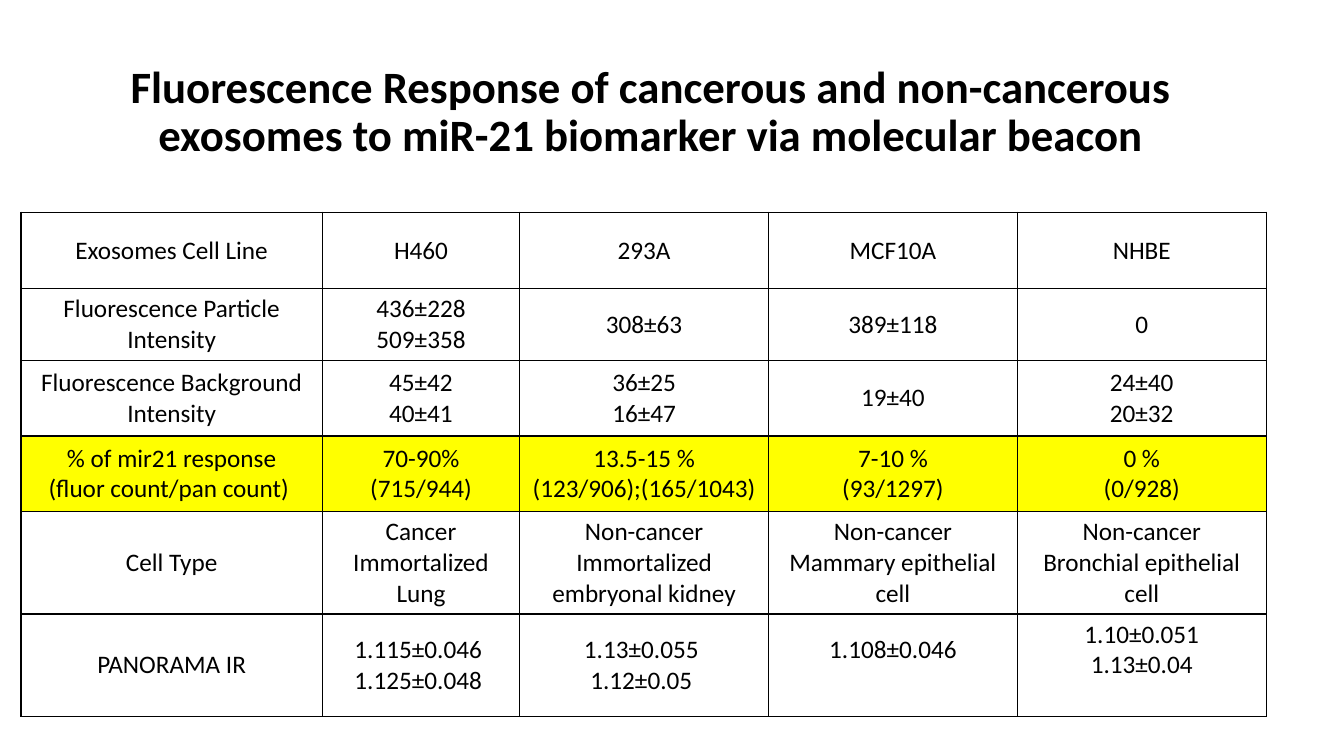
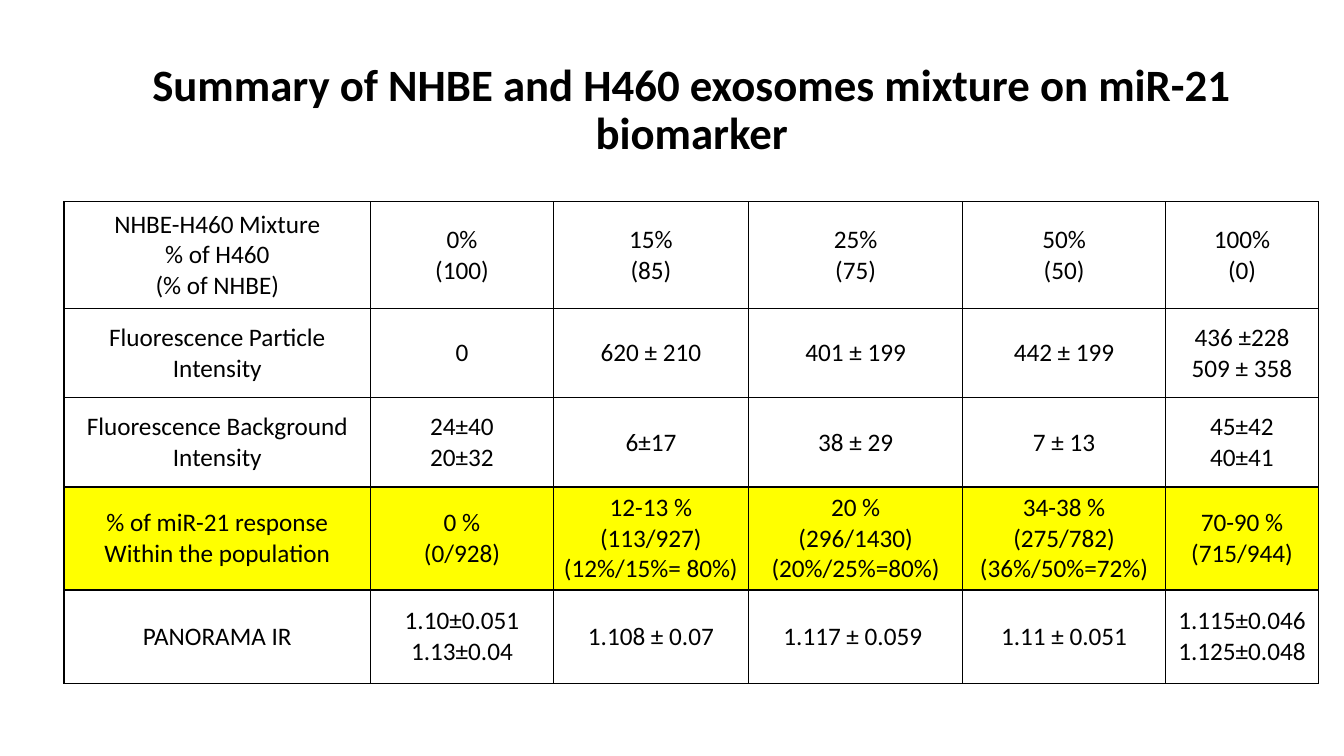
"""Build two slides of tables on exosome response to the miR-21 biomarker."""
from dataclasses import dataclass

from lxml.etree import SubElement
from pptx import Presentation
from pptx.dml.color import RGBColor
from pptx.enum.text import MSO_ANCHOR, PP_ALIGN
from pptx.oxml.ns import qn
from pptx.util import Emu, Pt


@dataclass(frozen=True)
class Theme:
    font: str = "Calibri"
    text: str = "000000"
    border: str = "000000"
    highlight: str = "FFFF00"
    title_size: int = 32
    cell_size: int = 18
    border_width: int = 1
    title_spacing: float = 0.9


def px(length):
    return Emu(length * 9525)


class Deck:
    def __init__(self, theme):
        self.theme = theme
        self.presentation = Presentation()
        self.presentation.slide_width = px(1280)
        self.presentation.slide_height = px(720)
        self.slide = None

    def add_slide(self):
        layout = self.presentation.slide_layouts.get_by_name("Title Only")
        self.slide = self.presentation.slides.add_slide(layout)

    def format_text(self, text_frame, size, bold=False):
        for paragraph in text_frame.paragraphs:
            paragraph.alignment = PP_ALIGN.CENTER
            for run in paragraph.runs:
                run.font.name = self.theme.font
                run.font.size = Pt(size)
                run.font.bold = bold
                run.font.color.rgb = RGBColor.from_string(self.theme.text)

    def title(self, text, left, top, width, height):
        shape = self.slide.shapes.title
        shape.left, shape.top = px(left), px(top)
        shape.width, shape.height = px(width), px(height)
        text_frame = shape.text_frame
        text_frame.text = text
        text_frame.word_wrap = True
        text_frame.vertical_anchor = MSO_ANCHOR.MIDDLE
        text_frame.paragraphs[0].line_spacing = self.theme.title_spacing
        self.format_text(text_frame, self.theme.title_size, bold=True)

    def borders(self, cell):
        properties = cell._tc.get_or_add_tcPr()
        for side in ("lnL", "lnR", "lnT", "lnB"):
            line = SubElement(properties, qn(f"a:{side}"), w=str(Pt(self.theme.border_width)))
            fill = SubElement(line, qn("a:solidFill"))
            SubElement(fill, qn("a:srgbClr"), val=self.theme.border)

    def cell(self, cell, text, highlighted):
        cell.text_frame.text = text
        cell.vertical_anchor = MSO_ANCHOR.MIDDLE
        self.format_text(cell.text_frame, self.theme.cell_size)
        self.borders(cell)
        if highlighted:
            cell.fill.solid()
            cell.fill.fore_color.rgb = RGBColor.from_string(self.theme.highlight)
        else:
            cell.fill.background()

    def table(self, left, top, widths, heights, rows, highlighted_row):
        frame = self.slide.shapes.add_table(
            len(rows), len(widths), px(left), px(top), px(sum(widths)), px(sum(heights)))
        table = frame.table
        table.first_row = table.horz_banding = False
        for column, width in zip(table.columns, widths):
            column.width = px(width)
        for row, height in zip(table.rows, heights):
            row.height = px(height)
        for row_index, texts in enumerate(rows):
            for column_index, text in enumerate(texts):
                self.cell(table.cell(row_index, column_index), text,
                          row_index == highlighted_row)
        return table

    def save(self):
        self.presentation.save("out.pptx")


PARTICLE = "Fluorescence Particle\nIntensity"
BACKGROUND = "Fluorescence Background\nIntensity"
PANORAMA = "PANORAMA IR"
H460_BACKGROUND = "45±42\n40±41"
H460_PANORAMA = "1.115±0.046 \n1.125±0.048 "
NHBE_BACKGROUND = "24±40\n20±32"
NHBE_PANORAMA = "1.10±0.051\n1.13±0.04"
NHBE_RESPONSE = "0 %\n(0/928)"

CELL_LINE_ROWS = [
    ["Exosomes Cell Line", "H460", "293A", "MCF10A", "NHBE"],
    [PARTICLE, "436±228\n509±358", "308±63", "389±118", "0"],
    [BACKGROUND, H460_BACKGROUND, "36±25\n16±47", "19±40", NHBE_BACKGROUND],
    ["% of mir21 response\n(fluor count/pan count) ", "70-90%\n(715/944)",
     "13.5-15 %\n(123/906);(165/1043)", "7-10 %\n(93/1297)", NHBE_RESPONSE],
    ["Cell Type", "Cancer\nImmortalized\nLung",
     "Non-cancer\nImmortalized embryonal kidney",
     "Non-cancer\nMammary epithelial cell",
     "Non-cancer\nBronchial epithelial cell"],
    [PANORAMA, H460_PANORAMA, "1.13±0.055 \n1.12±0.05 ", "1.108±0.046", NHBE_PANORAMA],
]

MIXTURE_ROWS = [
    ["NHBE-H460 Mixture\n% of H460\n(% of NHBE)", "0%\n(100)", "15%\n(85)",
     "25%\n(75)", "50%\n(50)", "100%\n(0)"],
    [PARTICLE, "0", "620 ± 210", "401 ± 199", "442 ± 199", "436 ±228\n509 ± 358"],
    [BACKGROUND, NHBE_BACKGROUND, "6±17", "38 ± 29", "7 ± 13", H460_BACKGROUND],
    ["% of miR-21 response\nWithin the population", NHBE_RESPONSE,
     "12-13 %\n(113/927)\n(12%/15%= 80%)", "20 %\n(296/1430)\n(20%/25%=80%)",
     "34-38 %\n(275/782)\n(36%/50%=72%)", "70-90 %\n(715/944)"],
    [PANORAMA, NHBE_PANORAMA, "1.108 ± 0.07", "1.117 ± 0.059 ", "1.11 ± 0.051",
     H460_PANORAMA],
]


def cell_line_slide(deck):
    deck.add_slide()
    deck.title("Fluorescence Response of cancerous and non-cancerous exosomes "
               "to miR-21 biomarker via molecular beacon", 68, 38, 1104, 139)
    table = deck.table(20, 202, [287, 188, 237, 237, 237], [73, 68, 72, 72, 97, 97],
                       CELL_LINE_ROWS, highlighted_row=3)
    for column_index in (3, 4):
        table.cell(5, column_index).margin_bottom = px(34)


def mixture_slide(deck):
    deck.add_slide()
    deck.title("Summary of NHBE and H460 exosomes mixture on miR-21 biomarker",
               61, 36, 1196, 139)
    deck.table(61, 192, [292, 174, 186, 204, 193, 146], [102, 85, 85, 98, 89],
               MIXTURE_ROWS, highlighted_row=3)


def main():
    deck = Deck(Theme())
    cell_line_slide(deck)
    mixture_slide(deck)
    deck.save()


if __name__ == "__main__":
    main()
